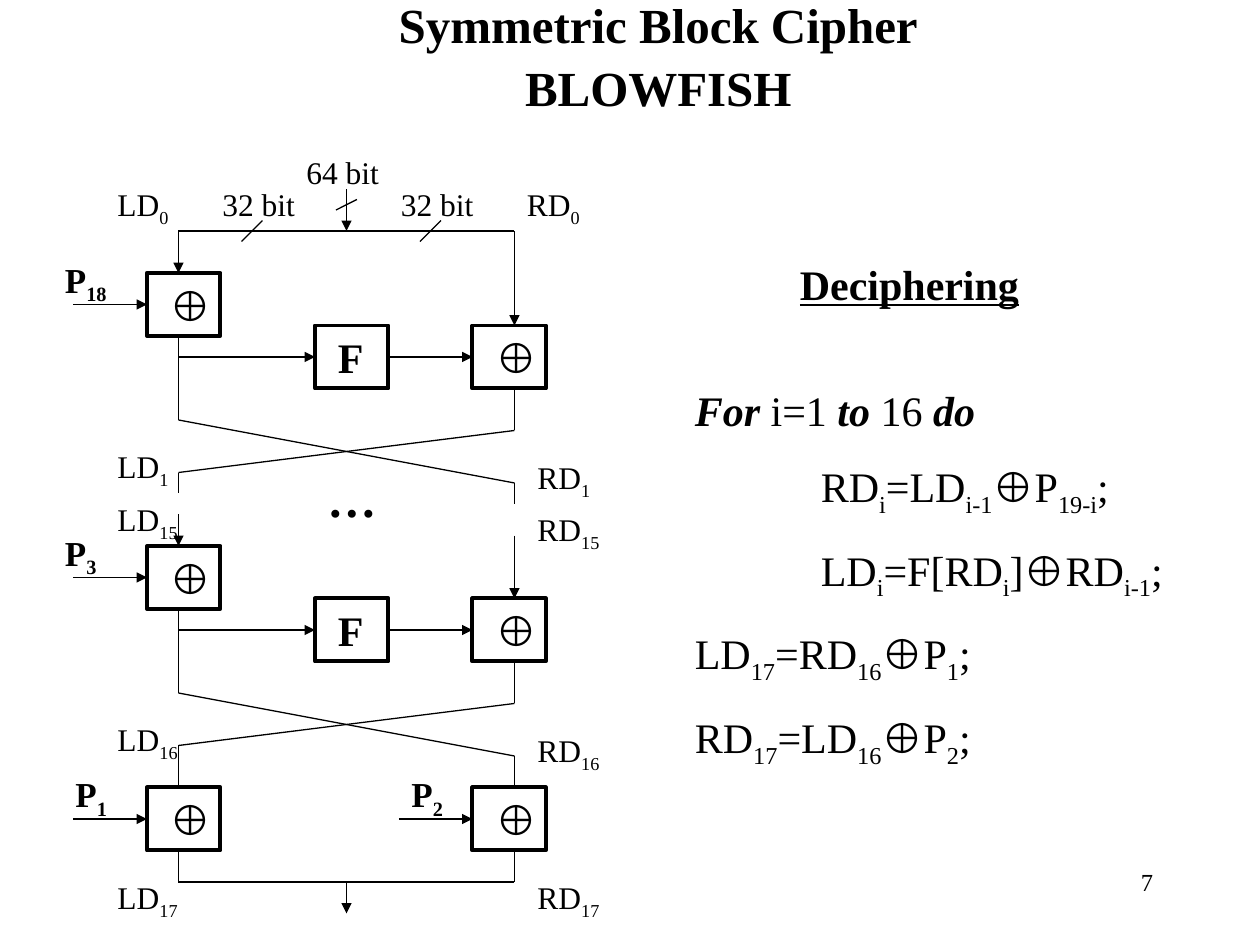
from lxml.etree import SubElement
from pptx import Presentation
from pptx.dml.color import RGBColor
from pptx.enum.shapes import MSO_CONNECTOR, MSO_SHAPE
from pptx.enum.text import PP_ALIGN
from pptx.oxml.ns import qn
from pptx.util import Inches, Pt

COLORS = {"ink": "000000"}
INK = RGBColor.from_string(COLORS["ink"])
GRID = 1 / 12  # every position below is counted in twelfths of an inch

deck = Presentation()
deck.slide_width, deck.slide_height = Inches(10), Inches(7.5)
page = deck.slides.add_slide(deck.slide_layouts[6])


def add_text(left, top, width, height, paragraphs, size, align=PP_ALIGN.LEFT,
             wrap=True, spacing=None, before=0):
    """Runs are (text, style); style letters: b, i, u and s for subscript."""
    box = page.shapes.add_textbox(*[Inches(n * GRID) for n in (left, top, width, height)])
    frame = box.text_frame
    frame.word_wrap = wrap
    for index, runs in enumerate(paragraphs):
        para = frame.paragraphs[0] if index == 0 else frame.add_paragraph()
        para.alignment = align
        if spacing:
            para.line_spacing = spacing
        if index:
            para.space_before = Pt(before)
        if runs[0][0].startswith("\t"):
            tabs = SubElement(para._p.get_or_add_pPr(), qn("a:tabLst"))
            SubElement(tabs, qn("a:tab"), pos=str(Inches(1)), algn="l")
        for text, style in runs:
            span = para.add_run()
            span.text = text
            span.font.name = "Arial" if text == "⊕" else "Times New Roman"
            span.font.size = Pt(size)
            span.font.color.rgb = INK
            span.font.bold = "b" in style
            span.font.italic = "i" in style
            span.font.underline = "u" in style
            if "s" in style:
                span._r.get_or_add_rPr().set("baseline", "-25000")


def add_path(*points, arrow=False):
    """Straight lines through the points, with an optional head at the end."""
    for start, end in zip(points, points[1:]):
        line = page.shapes.add_connector(
            MSO_CONNECTOR.STRAIGHT, *[Inches(n * GRID) for n in start + end])
        line.line.color.rgb = INK
        line.line.width = Pt(0.75)
        if arrow and end == points[-1]:
            SubElement(line.line._get_or_add_ln(), qn("a:tailEnd"), type="triangle")
        SubElement(line._element.spPr, qn("a:effectLst"))


# Title and page number
add_text(36.8, 0, 51.8, 11.6, [[("Symmetric Block Cipher", "b")], [("BLOWFISH", "b")]],
         28, PP_ALIGN.CENTER, wrap=False, spacing=0.8, before=8.8)
add_text(86, 82, 25, 6, [[("7", "")]], 14, PP_ALIGN.RIGHT)

# Columns of the diagram and height of one round
LEFT, MIDDLE, RIGHT = 17, 33, 49
ROUND = 26

# Operation boxes
boxes = [(14, 75, "⊕"), (45, 75, "⊕")]
for shift in (0, ROUND):
    boxes += [(14, 26 + shift, "⊕"), (30, 31 + shift, "F"), (45, 31 + shift, "⊕")]
for left, top, symbol in boxes:
    box = page.shapes.add_shape(
        MSO_SHAPE.RECTANGLE, *[Inches(n * GRID) for n in (left, top, 7, 6)])
    box.shadow.inherit = False
    box.fill.background()
    box.line.color.rgb = INK
    box.line.width = Pt(2.25)
    add_text(left + 1, top, 9, 6, [[(symbol, "b")]], 24)

# Input split into two halves
add_path((MIDDLE, 18), (MIDDLE, 22), arrow=True)
add_path((LEFT, 22), (RIGHT, 22))
for x, y, width, height in [(23, 23, 2, 2), (40, 23, 2, 2), (32, 20, 2, 1)]:
    add_path((x + width, y - height), (x, y))
for left, top, bits in [(28, 14, "64 bit"), (20, 17, "32 bit"), (37, 17, "32 bit")]:
    add_text(left, top, 15, 4.8, [[(bits, "")]], 18)

# First and last round: shift, starts of both inputs, ends of both outputs
for shift, left_in, right_in, left_out, right_out in [(0, 22, 22, 47, 48),
                                                     (ROUND, 49, 51, 75, 75)]:
    axis = 34 + shift
    add_path((LEFT, left_in), (LEFT, 26 + shift), arrow=True)
    add_path((RIGHT, right_in), (RIGHT, 31 + shift), arrow=True)
    add_path((7, 29 + shift), (14, 29 + shift), arrow=True)
    add_path((LEFT, axis), (30, axis), arrow=True)
    add_path((37, axis), (45, axis), arrow=True)
    add_path((LEFT, 32 + shift), (LEFT, 40 + shift), (RIGHT, 46 + shift), (RIGHT, right_out))
    add_path((RIGHT, 37 + shift), (RIGHT, 41 + shift), (LEFT, 45 + shift), (LEFT, left_out))
add_text(30, 44, 12, 6.8, [[("…", "b")]], 28)

# Final keys and output
for start in (7, 38):
    add_path((start, 78), (start + 7, 78), arrow=True)
add_path((LEFT, 81), (LEFT, 84), (RIGHT, 84), (RIGHT, 81))
add_path((MIDDLE, 84), (MIDDLE, 87), arrow=True)

# Labels of the halves and the keys
for number, left_top, right_left, right_top in [
        ("0", 17, 49, 17), ("1", 42, 50, 43), ("15", 47, 50, 48),
        ("16", 68, 50, 69), ("17", 83, 50, 83)]:
    width = 6 + 2 * len(number)
    add_text(10, left_top, width, 5.3, [[("LD", ""), (number, "s")]], 18)
    add_text(right_left, right_top, width, 5.3, [[("RD", ""), (number, "s")]], 18)
for left, top, number in [(5, 24, "18"), (5, 50, "3"), (6, 73, "1"), (38, 73, "2")]:
    add_text(left, top, 8, 5.8, [[("P", "b"), (number, "bs")]], 20)

# Deciphering algorithm
add_text(75, 24, 23.3, 6, [[("Deciphering", "bu")]], 24, wrap=False)
algorithm = [
    [("For ", "bi"), ("i=1", ""), (" to ", "bi"), ("16", ""), (" do", "bi")],
    [("\tRD", ""), ("i", "s"), ("=LD", ""), ("i-1", "s"), ("⊕", ""),
     ("P", ""), ("19-i", "s"), (";", "")],
    [("\tLD", ""), ("i", "s"), ("=F[RD", ""), ("i", "s"), ("]", ""), ("⊕", ""),
     ("RD", ""), ("i-1", "s"), (";", "")],
]
for target, origin, key in [("LD", "RD", "1"), ("RD", "LD", "2")]:
    algorithm.append([(target, ""), ("17", "s"), ("=" + origin, ""), ("16", "s"),
                      ("⊕", ""), ("P", ""), (key, "s"), (";", "")])
add_text(65, 36, 48, 42.7, algorithm, 24, before=15)

deck.save("out.pptx")
